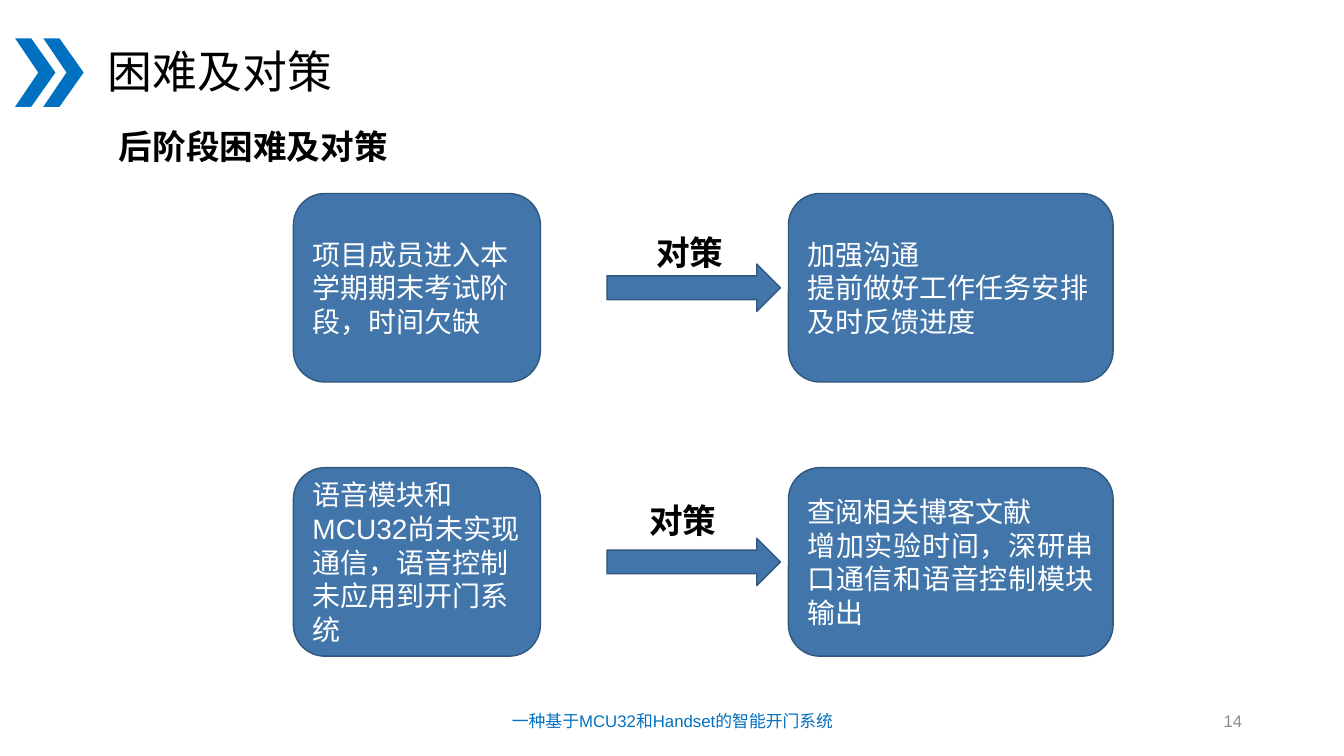
"""Build a slide pairing late-stage project difficulties with countermeasures."""
from lxml import etree
from pptx import Presentation
from pptx import util as u
from pptx.dml.color import RGBColor
from pptx.enum import shapes, text
from pptx.oxml import ns

BLACK = RGBColor(0x00, 0x00, 0x00)
WHITE = RGBColor(0xFF, 0xFF, 0xFF)
GREY = RGBColor(0x8C, 0x8C, 0x8C)
BRIGHT_BLUE = RGBColor(0x00, 0x70, 0xC0)
STEEL_BLUE = RGBColor(0x42, 0x76, 0xAA)
DARK_BLUE = RGBColor(0x31, 0x57, 0x7E)
CJK_FONT = "Noto Sans CJK SC"


def write(shape, lines, size=20, color=WHITE, font="Arial", bold=False,
          align=text.PP_ALIGN.LEFT, anchor=text.MSO_ANCHOR.MIDDLE,
          wrap=True, spacing=1.0):
    frame = shape.text_frame
    frame.text = lines
    frame.word_wrap = wrap
    frame.vertical_anchor = anchor
    for para in frame.paragraphs:
        para.alignment = align
        para.line_spacing = spacing
        for span in para.runs:
            span.font.size = u.Pt(size)
            span.font.bold = bold
            span.font.color.rgb = color
            span.font.name = font
            east_asian = etree.SubElement(span.font._element, ns.qn("a:ea"))
            east_asian.set("typeface", CJK_FONT)


def add_block(kind, left, top, width, height):
    block = page.shapes.add_shape(
        kind, u.Inches(left), u.Inches(top), u.Inches(width), u.Inches(height))
    block.shadow.inherit = False
    block.fill.solid()
    block.fill.fore_color.rgb = STEEL_BLUE
    block.line.color.rgb = DARK_BLUE
    block.line.width = u.Pt(1)
    return block


deck = Presentation()
deck.slide_width = u.Inches(13.33)
deck.slide_height = u.Inches(7.5)
page = deck.slides.add_slide(deck.slide_layouts[5])

chevron_points = [(0, 0), (0.23, 0.34), (0, 0.68), (0.16, 0.68), (0.4, 0.34)]
for left in (0.15, 0.43):
    outline = page.shapes.build_freeform(u.Inches(left + 0.16), u.Inches(0.38))
    outline.add_line_segments(
        [(u.Inches(left + x), u.Inches(0.38 + y)) for x, y in chevron_points])
    chevron = outline.convert_to_shape()
    chevron.shadow.inherit = False
    chevron.fill.solid()
    chevron.fill.fore_color.rgb = BRIGHT_BLUE
    chevron.line.fill.background()

title = page.shapes.title
title.left, title.top = u.Inches(0.97), u.Inches(0.4)
title.width, title.height = u.Inches(6.31), u.Inches(0.66)
write(title, "困难及对策", size=32, color=BLACK, font=CJK_FONT, spacing=0.9)

rows = [
    (1.92, "项目成员进入本学期期末考试阶段，时间欠缺",
     "加强沟通\n提前做好工作任务安排\n及时反馈进度", text.PP_ALIGN.LEFT),
    (4.64, "语音模块和MCU32尚未实现通信，语音控制未应用到开门系统",
     "查阅相关博客文献\n增加实验时间，深研串口通信和语音控制模块输出",
     text.PP_ALIGN.JUSTIFY),
]
rounded = shapes.MSO_SHAPE.FLOWCHART_ALTERNATE_PROCESS
for top, difficulty, remedy, remedy_align in rows:
    write(add_block(rounded, 2.91, top, 2.45, 1.87), difficulty)
    add_block(shapes.MSO_SHAPE.RIGHT_ARROW, 6.02, top + 0.7, 1.72, 0.47)
    write(add_block(rounded, 7.82, top, 3.22, 1.87), remedy, align=remedy_align)

heading = dict(size=24, color=BLACK, bold=True, anchor=text.MSO_ANCHOR.TOP)
arrow_label = dict(heading, font="Calibri", wrap=False)
footer = dict(size=12, color=BRIGHT_BLUE, align=text.PP_ALIGN.CENTER)
page_number = dict(size=12, color=GREY, align=text.PP_ALIGN.RIGHT)
labels = [
    ("后阶段困难及对策", 1.08, 1.2, 3.02, 0.5, heading),
    ("对策", 6.41, 2.25, 0.88, 0.5, arrow_label),
    ("对策", 6.34, 4.91, 0.88, 0.5, arrow_label),
    ("一种基于MCU32和Handset的智能开门系统", 4.42, 6.95, 4.5, 0.4, footer),
    ("14", 9.42, 6.95, 3, 0.4, page_number),
]
for words, left, top, width, height, style in labels:
    box = page.shapes.add_textbox(
        u.Inches(left), u.Inches(top), u.Inches(width), u.Inches(height))
    write(box, words, **style)

deck.save("out.pptx")
